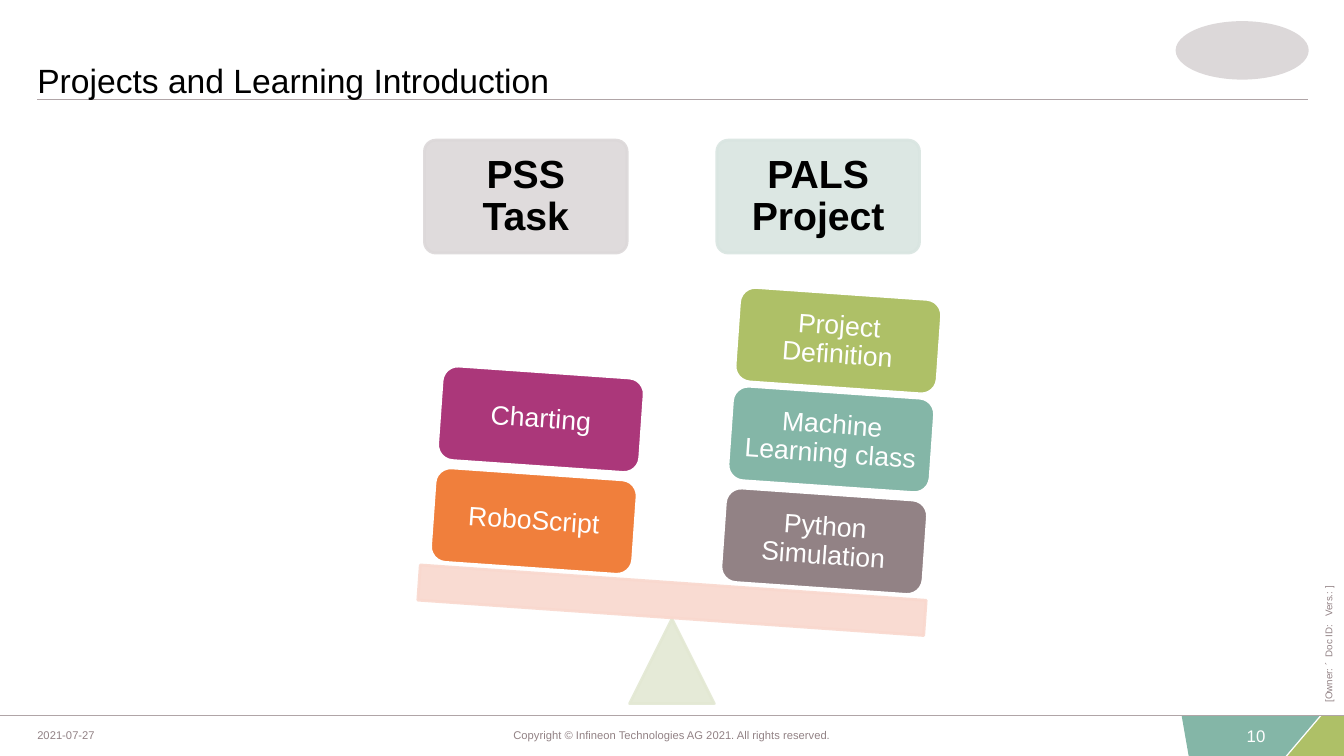
from math import radians, tan

from lxml.etree import SubElement
from pptx import Presentation
from pptx.dml.color import RGBColor
from pptx.enum.shapes import MSO_CONNECTOR, MSO_SHAPE
from pptx.enum.text import MSO_ANCHOR, PP_ALIGN
from pptx.oxml.ns import qn
from pptx.util import Emu, Pt

PX = 9144  # 100 px to the inch
WIDTH, HEIGHT = 1333, 750
TILT = 4
FONT = "Arial"
BLACK, WHITE, GREY, RULE = "000000", "FFFFFF", "928285", "B0A5A7"
GREEN, TEAL, ORANGE, MAGENTA = "AEC067", "84B6A7", "F07F3C", "AB377A"
PALE_GREY, PALE_TEAL, PALE_GREEN, PALE_ORANGE = "DCD8D9", "D9E5E1", "E3E8D3", "F9D8CE"

CARD_W, CARD_H = 201, 94
CARD_RISES = (0, 101, 199)
SIDES = [
    ("PSS Task", PALE_GREY, 6, 14,
     [("RoboScript", ORANGE), ("Charting", MAGENTA)]),
    ("PALS Project", PALE_TEAL, 296, 302,
     [("Python Simulation", GREY), ("Machine Learning class", TEAL),
      ("Project Definition", GREEN)]),
]


def px(n):
    return Emu(round(n * PX))


def rgb(color):
    return RGBColor.from_string(color)


def write(s, text, size, color, align=PP_ALIGN.LEFT, anchor=MSO_ANCHOR.MIDDLE,
          inset=0, bold=False, spacing=1.0):
    tf = s.text_frame
    tf.word_wrap = True
    tf.vertical_anchor = anchor
    tf.margin_left = tf.margin_right = tf.margin_top = tf.margin_bottom = px(inset)
    p = tf.paragraphs[0]
    p.alignment = align
    p.line_spacing = spacing
    r = p.add_run()
    r.text = text
    r.font.name = FONT
    r.font.size = Pt(size)
    r.font.bold = bold
    r.font.color.rgb = rgb(color)


def add_label(slide, box, text, size, color, **style):
    s = slide.shapes.add_textbox(*map(px, box))
    write(s, text, size, color, **style)
    return s


def add_block(slide, kind, box, fill, line=None, rotation=0):
    s = slide.shapes.add_shape(kind, *map(px, box))
    s.shadow.inherit = False
    s.rotation = rotation
    s.fill.solid()
    s.fill.fore_color.rgb = rgb(fill)
    if line:
        s.line.color.rgb = rgb(line)
        s.line.width = Pt(2)
    else:
        s.line.fill.background()
    return s


def add_pale_block(slide, kind, box, color, rotation=0):
    """Block whose fill and line are 90 % opaque."""
    s = add_block(slide, kind, box, color, color, rotation)
    for clr in s._element.spPr.iter(qn("a:srgbClr")):
        SubElement(clr, qn("a:alpha")).set("val", "90000")
    return s


def add_rule(slide, left, right, y):
    s = slide.shapes.add_connector(MSO_CONNECTOR.STRAIGHT, px(left), px(y), px(right), px(y))
    s.line.color.rgb = rgb(RULE)
    s.line.width = Pt(0.75)
    SubElement(s._element.spPr, qn("a:effectLst"))


def add_polygon(slide, points, color):
    builder = slide.shapes.build_freeform(*points[0], scale=PX)
    builder.add_line_segments(points[1:], close=True)
    s = builder.convert_to_shape()
    s.shadow.inherit = False
    s.fill.solid()
    s.fill.fore_color.rgb = rgb(color)
    s.line.fill.background()


def add_header(slide, left, top, width, height):
    bottom = top + height
    add_rule(slide, left, left + width, bottom - 1)
    add_block(slide, MSO_SHAPE.OVAL, (left + 1129, top, 132, 58), PALE_GREY)
    add_label(slide, (left, top, 1051, height - 1), "Projects and Learning Introduction",
              24, BLACK, anchor=MSO_ANCHOR.BOTTOM)


def add_footer(slide, left, top, width, height):
    right, bottom = left + width, top + height
    add_polygon(slide, [(right - 22, top), (right, top), (right, bottom), (right - 56, bottom)],
                GREEN)
    add_polygon(slide, [(right - 161, top), (right - 24, top), (right - 58, bottom),
                        (right - 154, bottom)], TEAL)
    add_rule(slide, left, right, top)
    add_label(slide, (right - 120, top, 42, height), "10", 12, WHITE, align=PP_ALIGN.RIGHT)
    add_label(slide, (left + 497, top, 339, height - 1),
              "Copyright © Infineon Technologies AG 2021. All rights reserved.",
              8, GREY, align=PP_ALIGN.CENTER)
    add_label(slide, (left + 37, top, 67, height - 1), "2021-07-27", 8, GREY)
    owner = add_label(slide, (right - 157, top - 168, 283, 27),
                      "[Owner: ´  Doc ID:   Vers.: ]", 7, GREY)
    owner.rotation = 270


def add_stack(slide, left, top, cards):
    """Pile tilted cards upwards from the lowest one at left, top."""
    for (text, color), rise in zip(cards, CARD_RISES):
        box = (left + round(rise * tan(radians(TILT))), top - rise, CARD_W, CARD_H)
        s = add_block(slide, MSO_SHAPE.ROUNDED_RECTANGLE, box, color, WHITE, TILT)
        write(s, text, 19, WHITE, align=PP_ALIGN.CENTER, inset=8, spacing=0.9)


def add_balance(slide, left, top, width, height):
    bottom = top + height
    pivot = 84
    add_pale_block(slide, MSO_SHAPE.ISOSCELES_TRIANGLE,
                   (left + (width - pivot) / 2, bottom - pivot, pivot, pivot), PALE_GREEN)
    add_pale_block(slide, MSO_SHAPE.RECTANGLE, (left, bottom - 120, width, 35),
                   PALE_ORANGE, TILT)
    for heading, color, heading_x, stack_x, cards in SIDES:
        s = add_pale_block(slide, MSO_SHAPE.ROUNDED_RECTANGLE,
                           (left + heading_x, top, CARD_W, 112), color)
        s.adjustments[0] = 0.1
        write(s, heading, 28, BLACK, align=PP_ALIGN.CENTER, inset=12, bold=True, spacing=0.9)
        drop = round(stack_x * tan(radians(TILT)))
        add_stack(slide, left + stack_x, top + 330 + drop, cards)


def main():
    prs = Presentation()
    prs.slide_width, prs.slide_height = px(WIDTH), px(HEIGHT)
    slide = prs.slides.add_slide(prs.slide_layouts[6])
    add_footer(slide, 0, 710, WIDTH, 40)
    add_header(slide, 37, 21, 1260, 79)
    add_balance(slide, 415, 139, 503, 559)
    prs.save("out.pptx")


if __name__ == "__main__":
    main()
